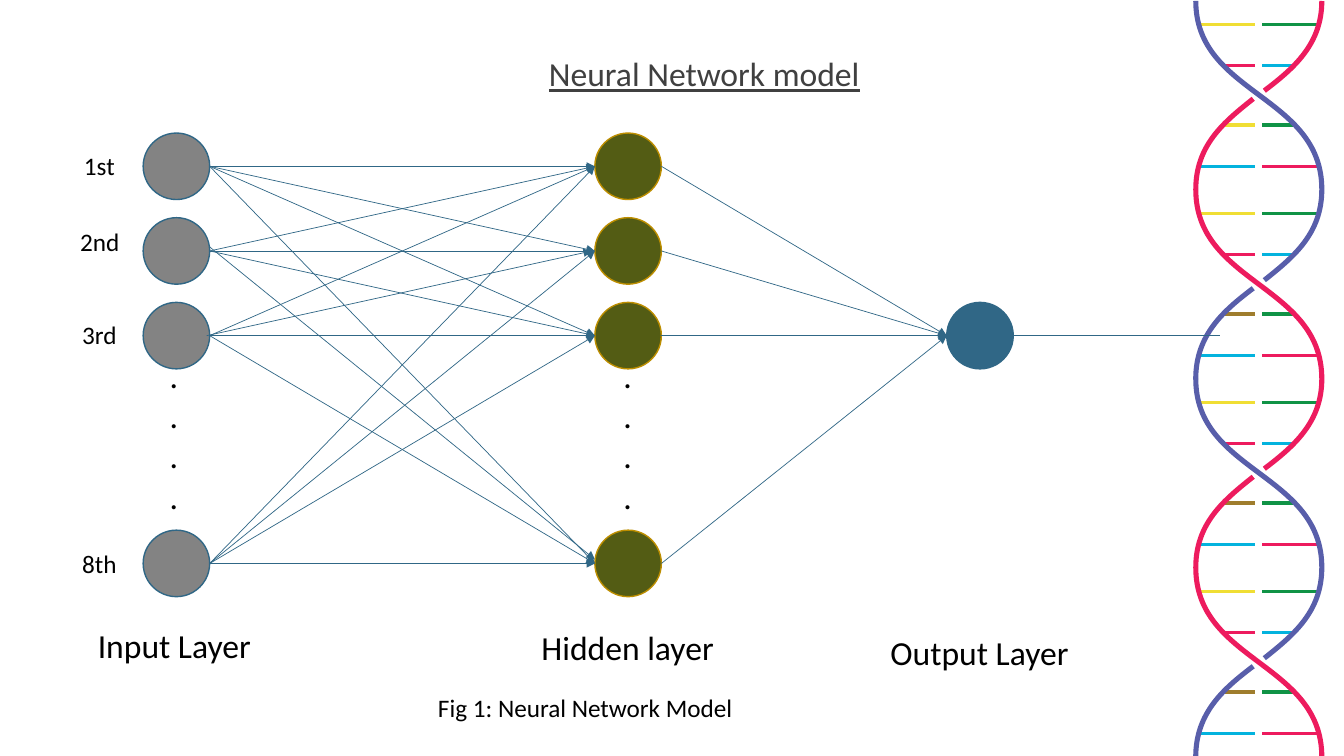
from dataclasses import dataclass
from itertools import product

from lxml.etree import SubElement
from pptx import Presentation
from pptx.dml.color import RGBColor
from pptx.enum.shapes import MSO_CONNECTOR as Connector, MSO_SHAPE as Shape
from pptx.enum.text import MSO_AUTO_SIZE as AutoSize, PP_ALIGN as Align
from pptx.oxml.ns import qn
from pptx.util import Inches, Pt

Point = tuple[float, float]

BLACK = RGBColor(0x00, 0x00, 0x00)
TITLE_GREY = RGBColor(0x40, 0x40, 0x40)
INPUT_GREY = RGBColor(0x83, 0x83, 0x83)
HIDDEN_OLIVE = RGBColor(0x53, 0x5C, 0x14)
HIDDEN_GOLD = RGBColor(0xBD, 0x8E, 0x00)
TEAL = RGBColor(0x30, 0x67, 0x86)
PINK = RGBColor(0xED, 0x1B, 0x5E)
VIOLET = RGBColor(0x58, 0x5E, 0xAA)
YELLOW = RGBColor(0xF0, 0xDE, 0x34)
BROWN = RGBColor(0x9F, 0x7D, 0x2D)
GREEN = RGBColor(0x10, 0x93, 0x46)
CYAN = RGBColor(0x03, 0xB3, 0xDE)


@dataclass
class Rung:
    """A base pair; top is measured from the start of its half turn."""
    top: float
    left: float
    right: float
    left_color: RGBColor
    right_color: RGBColor


@dataclass
class Strand:
    """Chained cubic curves; heights are measured from the start of a turn."""
    color: RGBColor
    points: list[Point]


@dataclass
class Label:
    text: str
    left: float
    top: float
    width: float
    height: float
    size: int = 18
    color: RGBColor = BLACK
    underline: bool = False
    wrap: bool = False


HELIX_TOP, TURN = 0.01, 3.75
HELIX_LEFT, HELIX_RIGHT = 11.86, 13.11
RUNG_GAP = (12.45, 12.52)
RUNGS = [
    Rung(0.23, 11.9, 13.07, YELLOW, GREEN),
    Rung(0.64, 12.13, 12.83, PINK, CYAN),
    Rung(1.23, 12.13, 12.83, BROWN, GREEN),
    Rung(1.64, 11.9, 13.07, CYAN, PINK),
]
STRANDS = [
    Strand(VIOLET, [(HELIX_LEFT, 3.75), (HELIX_LEFT, 3.31), (12.14, 3.07), (12.43, 2.85)]),
    Strand(VIOLET, [(12.54, 2.77), (12.83, 2.54), (HELIX_RIGHT, 2.31), (HELIX_RIGHT, 1.87),
                    (HELIX_RIGHT, 0.93), (HELIX_LEFT, 0.93), (HELIX_LEFT, 0)]),
    Strand(PINK, [(HELIX_RIGHT, 0), (HELIX_RIGHT, 0.43), (12.83, 0.67), (12.54, 0.89)]),
    Strand(PINK, [(12.43, 0.97), (12.14, 1.2), (HELIX_LEFT, 1.43), (HELIX_LEFT, 1.87),
                  (HELIX_LEFT, 2.81), (HELIX_RIGHT, 2.81), (HELIX_RIGHT, 3.75)]),
]

NODE = 0.66
INPUT_X, HIDDEN_X, OUTPUT_X = 1.42, 5.9, 9.39
ROWS = [1.32, 2.16, 3.0, 5.26]
OUTPUT_Y = ROWS[2]
# Small shifts of single arrows, by input row and hidden row
NUDGES = {(1, 3): (0, -0.04), (2, 1): (-0.03, 0)}
DOTS = "\n".join("." * 4)

LABELS = [
    Label("1st", 0.73, 1.44, 0.51, 0.4),
    Label("2nd", 0.69, 2.2, 0.6, 0.4),
    Label("3rd", 0.71, 3.12, 0.55, 0.4),
    Label("8th", 0.71, 5.39, 0.55, 0.4),
    Label(DOTS, 0.65, 3.47, 2.15, 1.72, size=24, wrap=True),
    Label(DOTS, 5.15, 3.47, 2.15, 1.72, size=24, wrap=True),
    Label("Input Layer", 0.86, 6.15, 1.74, 0.5, size=24),
    Label("Hidden layer", 5.26, 6.17, 1.93, 0.5, size=24),
    Label("Output Layer", 8.72, 6.22, 1.99, 0.5, size=24),
    Label("Fig 1: Neural Network Model", 1.63, 6.82, 8.35, 0.4, wrap=True),
    Label("Neural Network model", 4.78, 0.48, 4.41, 0.5, size=24,
          color=TITLE_GREY, underline=True, wrap=True),
]


def add_line(slide, start: Point, end: Point, color: RGBColor = TEAL,
             width: float = 0.5, arrow: bool = False) -> None:
    connector = slide.shapes.add_connector(
        Connector.STRAIGHT, *(Inches(value) for value in (*start, *end)))
    connector.line.color.rgb = color
    connector.line.width = Pt(width)
    if arrow:
        SubElement(connector.line._get_or_add_ln(), qn("a:tailEnd"), type="triangle")
    SubElement(connector._element.spPr, qn("a:effectLst"))


def bend_segments(shape) -> None:
    """Turn every three straight segments of a freeform into one cubic curve."""
    outline = shape._element.spPr.find(f".//{qn('a:path')}")
    segments = outline.findall(qn("a:lnTo"))
    for first in range(0, len(segments), 3):
        curve = SubElement(outline, qn("a:cubicBezTo"))
        for segment in segments[first:first + 3]:
            curve.append(segment[0])
            outline.remove(segment)


def add_strand(slide, strand: Strand, top: float) -> None:
    start, *rest = [(Inches(x), Inches(top + y)) for x, y in strand.points]
    builder = slide.shapes.build_freeform(*start)
    builder.add_line_segments(rest, close=False)
    shape = builder.convert_to_shape()
    bend_segments(shape)
    shape.shadow.inherit = False
    shape.fill.background()
    shape.line.color.rgb = strand.color
    shape.line.width = Pt(3.63)


def add_helix(slide) -> None:
    for half_turn, rung in product(range(4), RUNGS):
        y = HELIX_TOP + half_turn * TURN / 2 + rung.top
        is_first_brown = half_turn == 0 and rung.left_color == BROWN
        left_color = YELLOW if is_first_brown else rung.left_color
        add_line(slide, (rung.left, y), (RUNG_GAP[0], y), left_color, 2.38)
        add_line(slide, (RUNG_GAP[1], y), (rung.right, y), rung.right_color, 2.38)
    for turn, strand in product(range(2), STRANDS):
        add_strand(slide, strand, HELIX_TOP + turn * TURN)


def add_node(slide, left: float, top: float, fill: RGBColor, outline: RGBColor) -> None:
    shape = slide.shapes.add_shape(
        Shape.OVAL, Inches(left), Inches(top), Inches(NODE), Inches(NODE))
    shape.shadow.inherit = False
    shape.fill.solid()
    shape.fill.fore_color.rgb = fill
    shape.line.color.rgb = outline
    shape.line.width = Pt(1)


def add_network(slide) -> None:
    for top in ROWS:
        add_node(slide, INPUT_X, top, INPUT_GREY, TEAL)
        add_node(slide, HIDDEN_X, top, HIDDEN_OLIVE, HIDDEN_GOLD)
    add_node(slide, OUTPUT_X, OUTPUT_Y, TEAL, TEAL)

    centers = [top + NODE / 2 for top in ROWS]
    output_center = OUTPUT_Y + NODE / 2
    for source, target in product(range(len(ROWS)), repeat=2):
        dx, dy = NUDGES.get((source, target), (0, 0))
        add_line(slide, (INPUT_X + NODE + dx, centers[source] + dy),
                 (HIDDEN_X + dx, centers[target] + dy), arrow=True)
    for center in centers:
        add_line(slide, (HIDDEN_X + NODE, center), (OUTPUT_X, output_center), arrow=True)
    add_line(slide, (OUTPUT_X + NODE, output_center), (12.1, output_center))


def add_label(slide, label: Label) -> None:
    box = slide.shapes.add_textbox(
        Inches(label.left), Inches(label.top), Inches(label.width), Inches(label.height))
    frame = box.text_frame
    frame.text = label.text
    frame.word_wrap = label.wrap
    frame.auto_size = AutoSize.SHAPE_TO_FIT_TEXT
    for paragraph in frame.paragraphs:
        paragraph.alignment = Align.CENTER
        font = paragraph.font
        font.name = "Calibri"
        font.size = Pt(label.size)
        font.color.rgb = label.color
        font.underline = label.underline


def main() -> None:
    presentation = Presentation()
    presentation.slide_width = Inches(13.33)
    presentation.slide_height = Inches(7.5)
    slide = presentation.slides.add_slide(presentation.slide_layouts[6])
    add_helix(slide)
    add_network(slide)
    for label in LABELS:
        add_label(slide, label)
    presentation.save("out.pptx")


if __name__ == "__main__":
    main()
